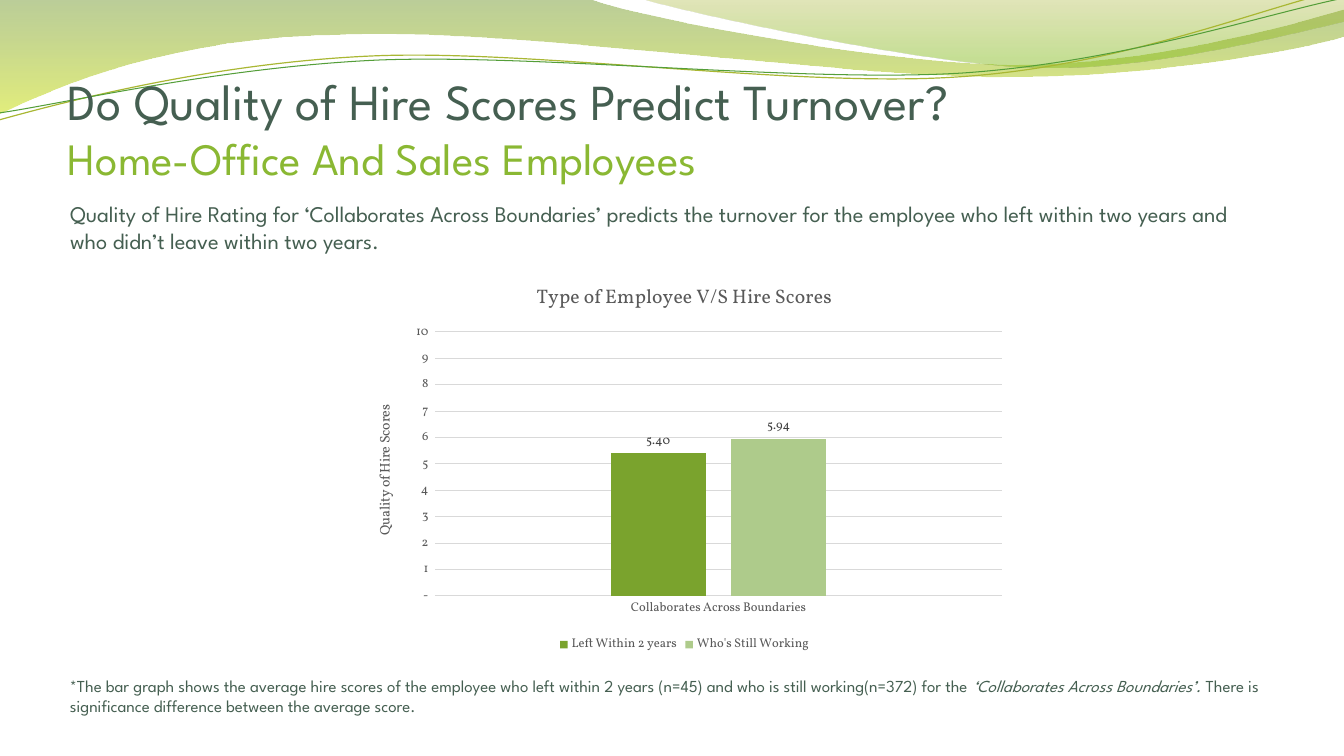
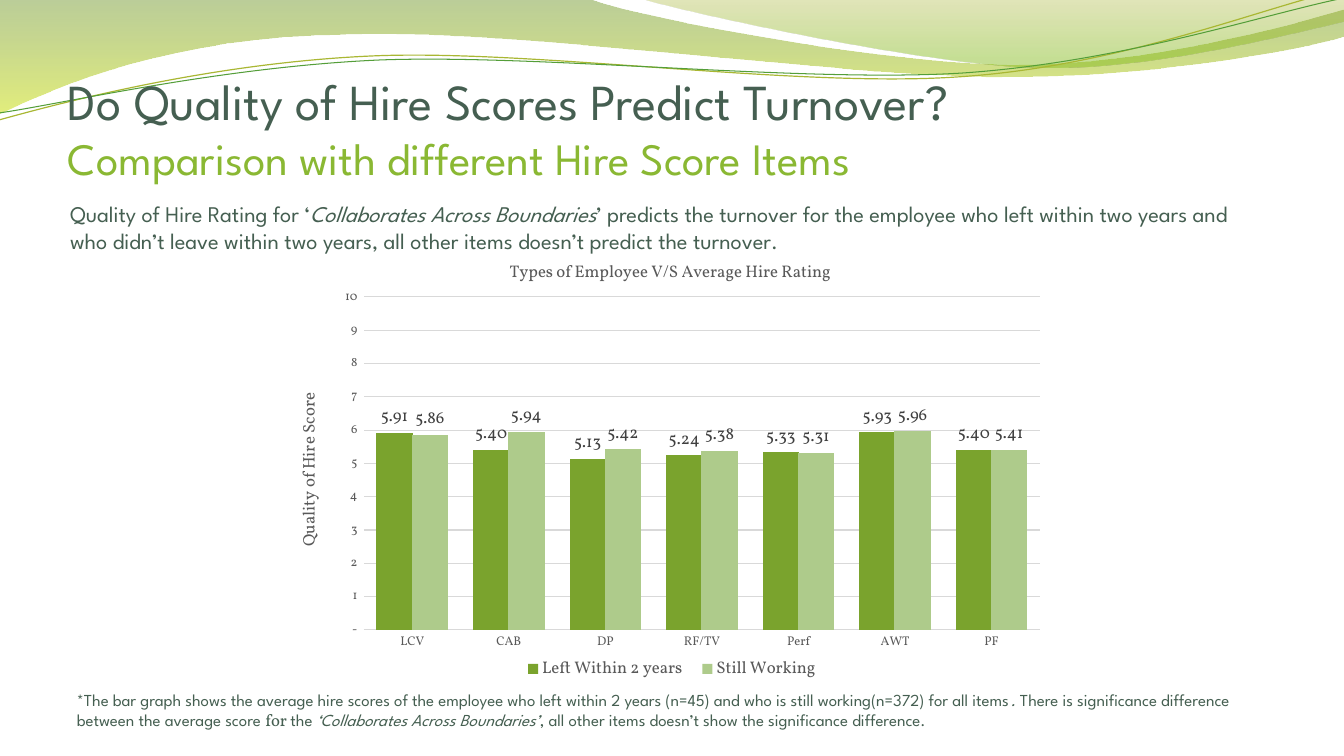
from lxml.etree import SubElement
from pptx import Presentation
from pptx.chart.data import CategoryChartData
from pptx.dml.color import RGBColor
from pptx.enum.chart import XL_CHART_TYPE, XL_LABEL_POSITION, XL_LEGEND_POSITION, XL_TICK_MARK
from pptx.enum.text import MSO_ANCHOR, MSO_AUTO_SIZE, PP_ALIGN
from pptx.oxml.ns import qn
from pptx.util import Emu, Pt

SLIDE_W, SLIDE_H = 1344, 756
EMU_PER_PX = 12192000 / SLIDE_W

HEADING_FONT = "League Spartan"
CHART_FONT = "Vollkorn"

INK = RGBColor(0x45, 0x5F, 0x51)
LIME = RGBColor(0x8A, 0xB8, 0x33)
CHART_TEXT = RGBColor(0x59, 0x59, 0x59)
LABEL_TEXT = RGBColor(0x40, 0x40, 0x40)
GRID = RGBColor(0xD9, 0xD9, 0xD9)
SERIES_COLORS = (RGBColor(0x7A, 0xA3, 0x2D), RGBColor(0xAE, 0xCB, 0x8B))
OLIVE = RGBColor(0x69, 0x92, 0x1C)
YELLOW = RGBColor(0xCC, 0xE1, 0x0F)
MOSS = RGBColor(0x9B, 0xAA, 0x1A)
LEAF = RGBColor(0x81, 0xBA, 0x16)
GOLD_LINE = RGBColor(0xA9, 0xB7, 0x33)
GREEN_LINE = RGBColor(0x54, 0x9E, 0x39)

AXIS_FORMAT = '_(* #,##0_);_(* \\(#,##0\\);_(* "-"_);_(@_)'
LABEL_FORMAT = '_(* #,##0.00_);_(* \\(#,##0.00\\);_(* "-"??_);_(@_)'

TITLE_BOX = (68, 58, 1210, 126)
INTRO_BOX = (60, 195, 1217, 65)

BANDS = [
    {
        "start": (0, 0),
        "segments": [
            [(592, 0)],
            [(639, 18), (891, 65), (1019, 65)],
            [(1146, 65), (1287, 27), (1344, 10)],
            [(1345, 37)],
            [(1321, 45), (1168, 78), (1002, 77)],
            [(836, 77), (513, 29), (346, 35)],
            [(173, 37), (61, 85), (-2, 115)],
        ],
        "stops": [(0, OLIVE, 45), (1, YELLOW, 55)],
    },
    {
        "start": (643, 0),
        "segments": [
            [(684, 12), (916, 63), (1033, 67)],
            [(1149, 71), (1292, 33), (1344, 22)],
            [(1344, 0)],
        ],
        "stops": [(0, MOSS, 30), (0.8, LEAF, 45)],
    },
]
STRANDS = [
    {
        "start": (-1, 120),
        "segments": [
            [(64, 102), (212, 63), (372, 56)],
            [(531, 49), (795, 88), (957, 77)],
            [(1119, 67), (1261, 8), (1341, -10)],
        ],
        "color": GOLD_LINE,
        "width": 0.85,
    },
    {
        "start": (-1, 113),
        "segments": [
            [(62, 104), (220, 67), (380, 60)],
            [(541, 54), (802, 83), (963, 73)],
            [(1123, 62), (1265, 14), (1344, -2)],
        ],
        "color": GREEN_LINE,
        "width": 0.75,
    },
]

QUESTION = "Do Quality of Hire Scores Predict Turnover?"
ITALIC = {"italic": True}
SLIDES = [
    {
        "subtitle": "Home-Office And Sales Employees",
        "intro": [
            ("Quality of Hire Rating for ‘Collaborates Across Boundaries’ predicts the turnover for the "
             "employee who left within two years and who didn’t leave within two years.", {}),
        ],
        "chart": {
            "box": (354, 266, 661, 391),
            "plot": (435, 332, 567, 264),
            "legend": None,
            "title": ("Type of Employee V/S Hire Scores", 14),
            "axis_title": ("Quality of Hire Scores", 10),
            "text_size": 9,
            "gap": 371,
            "overlap": -27,
            "categories": ["Collaborates Across Boundaries"],
            "series": [("Left Within 2 years", [5.40]), ("Who's Still Working", [5.94])],
        },
        "note_box": (60, 671, 1217, 50),
        "note": [
            ("*The bar graph shows the average hire scores of the employee who left within 2 years (n=45) "
             "and who is still working(n=372) for the ", {}),
            ("‘Collaborates Across Boundaries’.", ITALIC),
            (" There is significance difference between the average score.", {}),
        ],
    },
    {
        "subtitle": "Comparison with different Hire Score Items",
        "intro": [
            ("Quality of Hire Rating for ‘", {}),
            ("Collaborates Across Boundaries", ITALIC),
            ("’ predicts the turnover for the employee who left within two years and who didn’t leave "
             "within two years, all other items doesn’t predict the turnover.", {}),
        ],
        "chart": {
            "box": (283, 242, 775, 463),
            "plot": (364, 297, 676, 333),
            "legend": (514, 656, 316, 26),
            "title": ("Types of Employee V/S Average Hire Rating", 12),
            "axis_title": ("Quality of Hire Score", 12),
            "text_size": 12,
            "gap": 69,
            "overlap": 3,
            "categories": ["LCV", "CAB", "DP", "RF/TV", "Perf", "AWT", "PF"],
            "series": [
                ("Left Within 2 years", [5.91, 5.40, 5.13, 5.24, 5.33, 5.93, 5.40]),
                ("Still Working", [5.86, 5.94, 5.42, 5.38, 5.31, 5.96, 5.41]),
            ],
        },
        "note_box": (67, 685, 1210, 71),
        "note": [
            ("*The bar graph shows the average hire scores of the employee who left within 2 years (n=45) "
             "and who is still working(n=372) for all items", {}),
            (".", ITALIC),
            (" There is significance difference between the average score ", {}),
            ("for ", {"font": CHART_FONT}),
            ("the ", {}),
            ("‘Collaborates Across Boundaries’", ITALIC),
            (", all other items doesn’t show the significance difference.", {}),
        ],
    },
]


def px(value):
    return Emu(round(value * EMU_PER_PX))


def place(shape, box):
    shape.left, shape.top, shape.width, shape.height = map(px, box)


def style(font, size, color, name=CHART_FONT, italic=False):
    font.name, font.size, font.bold, font.italic = name, Pt(size), False, italic
    font.color.rgb = color


def add_run(paragraph, text, size, color=INK, font=HEADING_FONT, italic=False):
    run = paragraph.add_run()
    run.text = text
    style(run.font, size, color, font, italic)


def bend(outline, segments):
    strokes = iter(list(outline.iter(qn("a:lnTo"))))
    for segment in segments:
        corners = [next(strokes) for _ in segment]
        if len(corners) == 3:
            curve = outline.makeelement(qn("a:cubicBezTo"))
            corners[0].addprevious(curve)
            for corner in corners:
                curve.append(corner[0])
                corner.getparent().remove(corner)


def draw_wave(slide, wave):
    closed = "stops" in wave
    builder = slide.shapes.build_freeform(*map(px, wave["start"]), scale=1.0)
    corners = [(px(x), px(y)) for segment in wave["segments"] for x, y in segment]
    builder.add_line_segments(corners, close=closed)
    shape = builder.convert_to_shape()
    bend(shape.element, wave["segments"])
    shape.shadow.inherit = False
    if closed:
        shape.line.fill.background()
        shape.fill.gradient()
        shape.fill.gradient_angle = 270
        for stop, (position, color, _) in zip(shape.fill.gradient_stops, wave["stops"]):
            stop.position = position
            stop.color.rgb = color
        for tint, (_, _, opacity) in zip(shape.element.spPr.iter(qn("a:srgbClr")), wave["stops"]):
            SubElement(tint, qn("a:alpha"), val=str(opacity * 1000))
    else:
        shape.fill.background()
        shape.line.color.rgb = wave["color"]
        shape.line.width = Pt(wave["width"])
    return shape.element


def share_waves(slide, layout):
    for position, wave in enumerate(BANDS + STRANDS, start=2):
        layout.shapes.element.insert(position, draw_wave(slide, wave))


def write_title(title, subtitle):
    frame = title.text_frame
    frame.auto_size = MSO_AUTO_SIZE.NONE
    frame.vertical_anchor = MSO_ANCHOR.BOTTOM
    frame.margin_left = frame.margin_right = frame.margin_bottom = 0
    paragraph = frame.paragraphs[0]
    paragraph.alignment = PP_ALIGN.LEFT
    add_run(paragraph, QUESTION, 36)
    paragraph.add_line_break()
    add_run(paragraph, subtitle, 32, LIME)


def write_passage(frame, runs, size):
    frame.word_wrap = True
    frame.auto_size = MSO_AUTO_SIZE.NONE
    paragraph = frame.paragraphs[0]
    paragraph.space_before = Pt(0)
    properties = paragraph._p.get_or_add_pPr()
    properties.set("marL", "0")
    properties.set("indent", "0")
    SubElement(properties, qn("a:buNone"))
    for text, look in runs:
        add_run(paragraph, text, size, **look)


def set_layout(part, position, box, chart_box, target=()):
    for old in part.findall(qn("c:layout")):
        part.remove(old)
    layout = part.makeelement(qn("c:layout"))
    part.insert(position, layout)
    manual = SubElement(layout, qn("c:manualLayout"))
    left, top, width, height = chart_box
    fractions = ((box[0] - left) / width, (box[1] - top) / height, box[2] / width, box[3] / height)
    for tag, value in [*target, ("xMode", "edge"), ("yMode", "edge"), *zip("xywh", fractions)]:
        SubElement(manual, qn("c:" + tag), val=str(value))


def add_score_chart(slide, content):
    data = CategoryChartData()
    data.categories = content["categories"]
    for name, scores in content["series"]:
        data.add_series(name, scores)
    chart = slide.shapes.add_chart(
        XL_CHART_TYPE.COLUMN_CLUSTERED, *map(px, content["box"]), data).chart
    style(chart.font, 10, CHART_TEXT)
    size = content["text_size"]

    chart.has_title = True
    scores_axis, items_axis = chart.value_axis, chart.category_axis
    scores_axis.has_title = True
    for heading, (text, points) in ((chart.chart_title, content["title"]),
                                    (scores_axis.axis_title, content["axis_title"])):
        add_run(heading.text_frame.paragraphs[0], text, points, CHART_TEXT, CHART_FONT)

    chart.has_legend = True
    chart.legend.position = XL_LEGEND_POSITION.BOTTOM
    chart.legend.include_in_layout = False
    style(chart.legend.font, size, CHART_TEXT)

    for axis in (scores_axis, items_axis):
        axis.major_tick_mark = axis.minor_tick_mark = XL_TICK_MARK.NONE
        style(axis.tick_labels.font, 9, CHART_TEXT)
    scores_axis.minimum_scale, scores_axis.maximum_scale, scores_axis.major_unit = 0, 10, 1
    scores_axis.tick_labels.number_format = AXIS_FORMAT
    scores_axis.tick_labels.number_format_is_linked = False
    scores_axis.format.line.fill.background()
    for line in (items_axis.format.line, scores_axis.major_gridlines.format.line):
        line.color.rgb = GRID
        line.width = Pt(0.75)

    columns = chart.plots[0]
    columns.vary_by_categories = False
    columns.gap_width, columns.overlap = content["gap"], content["overlap"]
    for series, color in zip(columns.series, SERIES_COLORS):
        series.format.fill.solid()
        series.format.fill.fore_color.rgb = color
        labels = series.data_labels
        labels.show_value = True
        labels.position = XL_LABEL_POSITION.OUTSIDE_END
        labels.number_format = LABEL_FORMAT
        labels.number_format_is_linked = False
        style(labels.font, size, LABEL_TEXT)

    plot_area = chart.element.find(".//" + qn("c:plotArea"))
    set_layout(plot_area, 0, content["plot"], content["box"], [("layoutTarget", "inner")])
    if content["legend"]:
        set_layout(chart.element.find(".//" + qn("c:legend")), 1, content["legend"], content["box"])


def main():
    deck = Presentation()
    deck.slide_width, deck.slide_height = px(SLIDE_W), px(SLIDE_H)
    layout = deck.slide_layouts[1]
    title_area, intro_area, *unused = layout.placeholders
    place(title_area, TITLE_BOX)
    place(intro_area, INTRO_BOX)
    for placeholder in unused:
        layout.shapes.element.remove(placeholder.element)
    for number, content in enumerate(SLIDES):
        slide = deck.slides.add_slide(layout)
        if number == 0:
            share_waves(slide, layout)
        write_title(slide.shapes.title, content["subtitle"])
        write_passage(slide.placeholders[1].text_frame, content["intro"], 16)
        add_score_chart(slide, content["chart"])
        note = slide.shapes.add_textbox(*map(px, content["note_box"]))
        write_passage(note.text_frame, content["note"], 12)
    deck.save("out.pptx")


if __name__ == "__main__":
    main()
